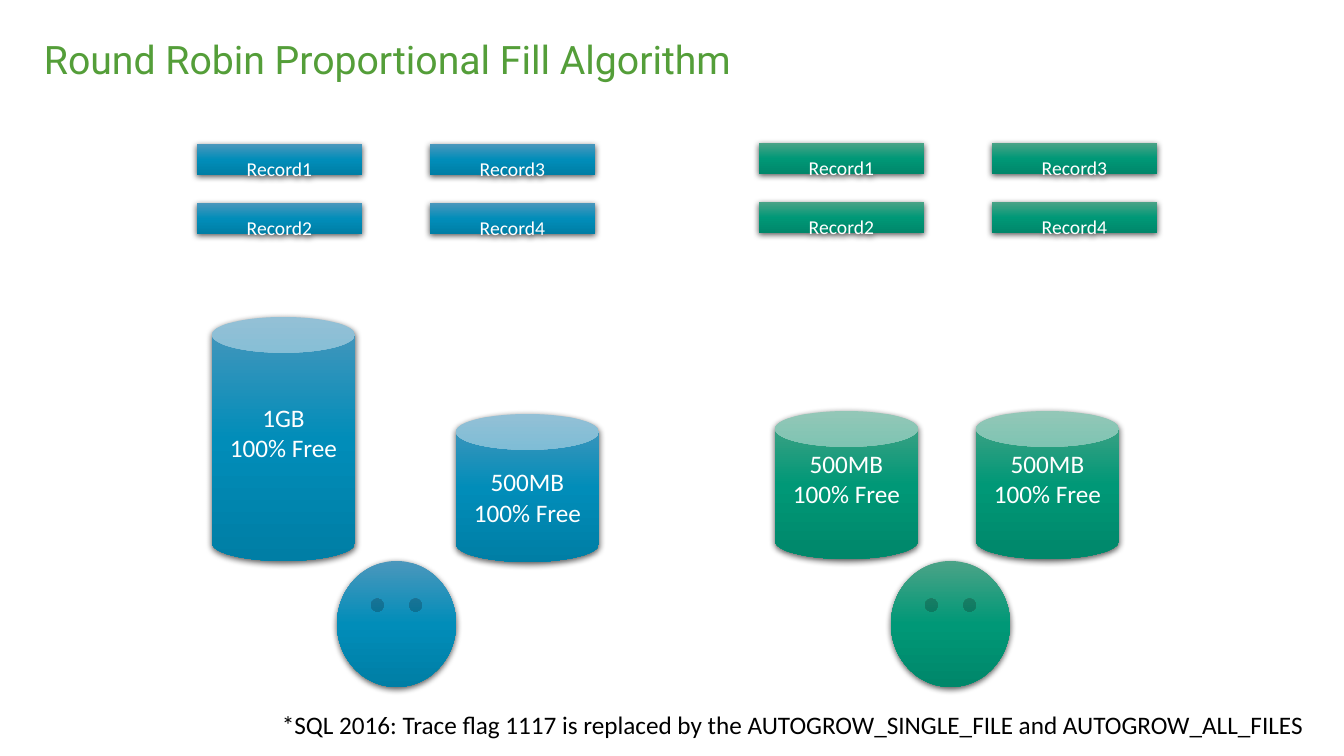
from lxml import etree
from pptx import Presentation
from pptx.dml.color import RGBColor
from pptx.enum.shapes import MSO_SHAPE
from pptx.enum.text import MSO_ANCHOR, PP_ALIGN
from pptx.oxml.ns import qn
from pptx.util import Pt

PX = 914400 / 100.8
CAN, RECT, FACE = MSO_SHAPE.CAN, MSO_SHAPE.RECTANGLE, MSO_SHAPE.SMILEY_FACE
TOP, MIDDLE = MSO_ANCHOR.TOP, MSO_ANCHOR.MIDDLE
LEFT, CENTER = PP_ALIGN.LEFT, PP_ALIGN.CENTER

BLUE = ("4B97BC", "018DB9", "007EA5")
GREEN = ("4BA387", "009877", "00876A")
CAN_W, FILE_H, FACE_W, FACE_H = 143, 148, 119, 126
RECORD_W, RECORD_H, RECORD_DX, RECORD_DY = 165, 31, 233, 59


def px(n):
    return round(n * PX)


def color(hex_text):
    return RGBColor.from_string(hex_text)


def add(parent, tag, **attrs):
    return etree.SubElement(parent, qn(tag), {k: str(v) for k, v in attrs.items()})


class Slide:
    """Style and element methods for one slide."""

    def __init__(self, prs):
        self.shapes = prs.slides.add_slide(prs.slide_layouts[6]).shapes

    def fill_text(self, s, lines, size, hex_text, font="Calibri", align=CENTER,
                  spacing=None, **frame):
        tf = s.text_frame
        for name, value in {"word_wrap": True, **frame}.items():
            setattr(tf, name, value)
        for i, line in enumerate(lines):
            p = tf.add_paragraph() if i else tf.paragraphs[0]
            p.alignment, p.line_spacing = align, spacing
            r = p.add_run()
            r.text = line
            for name, value in {"name": font, "size": Pt(size)}.items():
                setattr(r.font, name, value)
            r.font.color.rgb = color(hex_text)

    def text(self, box, line, size, hex_text, **style):
        s = self.shapes.add_textbox(*map(px, box))
        self.fill_text(s, [line], size, hex_text, align=LEFT, **style)

    def shape(self, kind, box, shades):
        s = self.shapes.add_shape(kind, *map(px, box))
        pr = s._element.spPr
        # Vertical three-stop gradient
        grad = add(pr, "a:gradFill", rotWithShape=1)
        stops = add(grad, "a:gsLst")
        for i, shade in enumerate(shades):
            add(add(stops, "a:gs", pos=i * 50000), "a:srgbClr", val=shade)
        add(grad, "a:lin", ang=5400000, scaled=0)
        s.line.fill.background()
        # Soft shadow below
        s.shadow.inherit = False
        shadow = add(pr.find(qn("a:effectLst")), "a:outerShdw", blurRad=Pt(4.5),
                     dist=Pt(1.5), dir=5400000, algn="ctr", rotWithShape=0)
        add(add(shadow, "a:srgbClr", val="000000"), "a:alpha", val=63000)
        return s

    def record(self, x, y, label, shades):
        s = self.shape(RECT, (x, y, RECORD_W, RECORD_H), shades)
        self.fill_text(s, [label], 14, "FFFFFF", spacing=0.9, vertical_anchor=TOP,
                       margin_left=px(20), margin_right=px(20),
                       margin_top=px(16), margin_bottom=px(16))

    def can(self, x, y, h, size, shades, top=5, bottom=5):
        s = self.shape(CAN, (x, y, CAN_W, h), shades)
        self.fill_text(s, [size, "100% Free"], 18, "FFFFFF", vertical_anchor=MIDDLE,
                       margin_top=px(top), margin_bottom=px(bottom))


def main():
    prs = Presentation()
    prs.slide_width, prs.slide_height = px(1344), px(756)
    slide = Slide(prs)

    # Title
    slide.text((34, 21, 1159, 81), "Round Robin Proportional Fill Algorithm", 28,
               "549E39", font="Roboto", spacing=0.9, vertical_anchor=MIDDLE)

    # Data files, with raised labels on all but the first
    raised = {"top": 0, "bottom": 31}
    slide.can(456, 414, FILE_H, "500MB", BLUE)
    slide.can(212, 317, 244, "1GB", BLUE, **raised)
    for x in (775, 976):
        slide.can(x, 411, FILE_H, "500MB", GREEN, **raised)

    # Records in two columns and the face, for each side
    for x, y, face_x, shades in ((197, 144, 337, BLUE), (759, 143, 891, GREEN)):
        for i in range(4):
            col, row = divmod(i, 2)
            slide.record(x + col * RECORD_DX, y + row * RECORD_DY,
                         f"Record{i + 1}", shades)
        slide.shape(FACE, (face_x, 561, FACE_W, FACE_H), shades)

    # Footnote
    slide.text((272, 704, 1060, 40),
               "*SQL 2016: Trace flag 1117 is replaced by the "
               "AUTOGROW_SINGLE_FILE and AUTOGROW_ALL_FILES", 18, "000000")

    prs.save("out.pptx")


if __name__ == "__main__":
    main()
